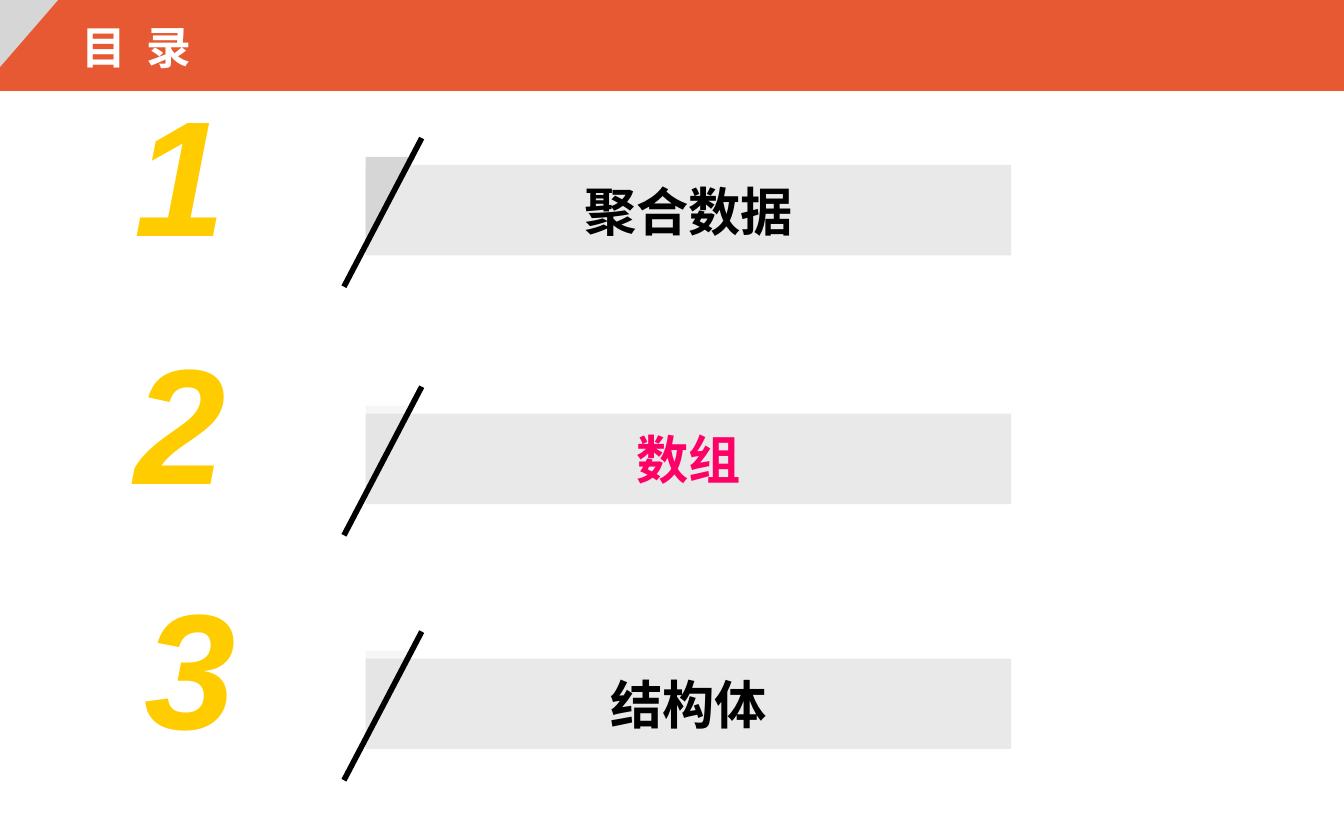
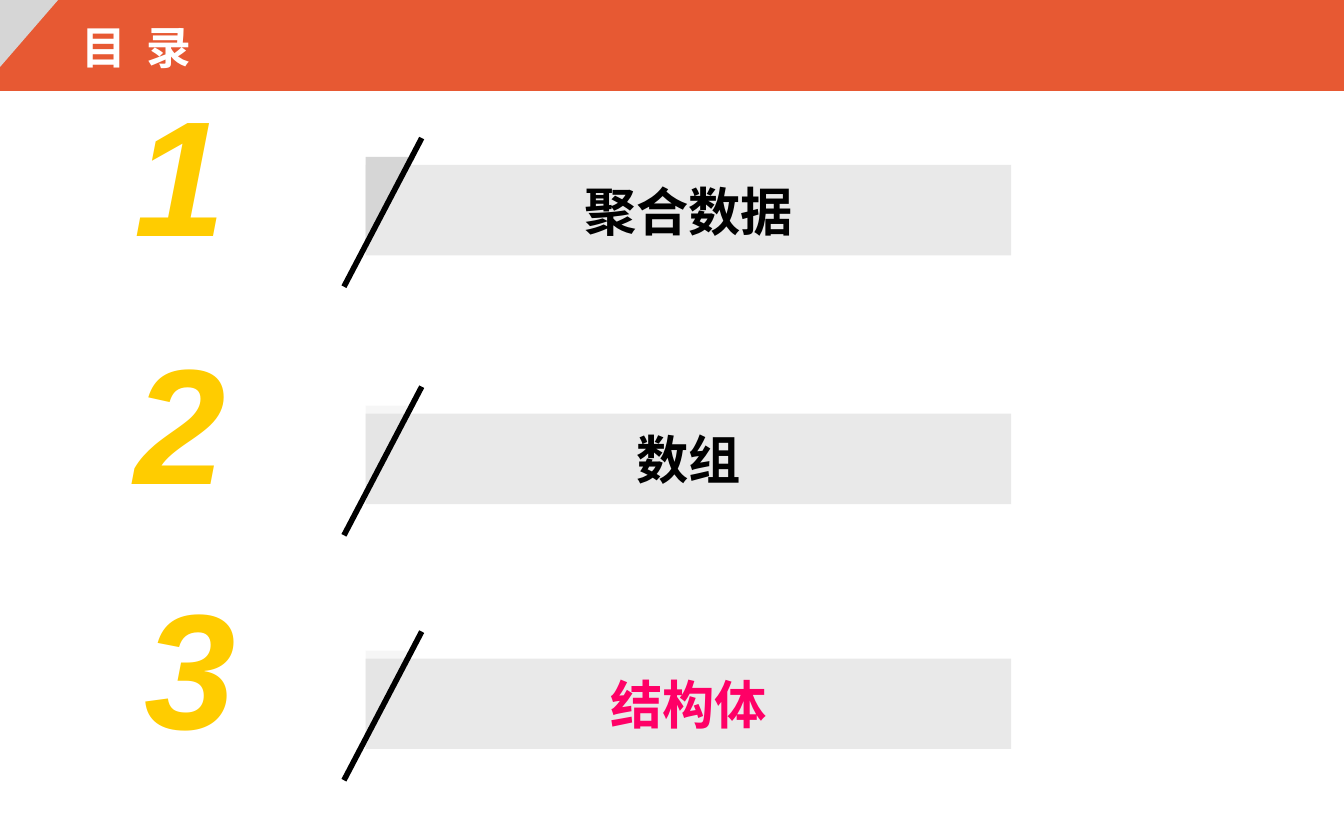
from lxml.etree import SubElement
from pptx import Presentation
from pptx.dml.color import RGBColor
from pptx.enum.shapes import MSO_CONNECTOR, MSO_SHAPE
from pptx.enum.text import MSO_ANCHOR, PP_ALIGN
from pptx.oxml.ns import qn
from pptx.util import Cm, Pt

ORANGE, SILVER, GRAY = "E75933", "D6D6D6", "949494"
YELLOW, PINK, BLACK, WHITE = "FFCC00", "FF0066", "000000", "FFFFFF"

TOPICS = [
    ("聚合数据", 3.12, 2.29, 100),
    ("数组", 7.82, 2.29, 20),
    ("结构体", 12.45, 2.49, 20),
]
BAR_LEFT = 6.91


def paint(color_format, color, opacity=100):
    color_format.rgb = RGBColor.from_string(color)
    if opacity < 100:
        value = color_format._xFill.find(qn("a:srgbClr"))
        SubElement(value, qn("a:alpha")).set("val", str(opacity * 1000))


def add_block(slide, preset, box, color=None, opacity=100, text="", size=28,
              font_color=BLACK, font_name="Arial", align=PP_ALIGN.LEFT):
    left, top, width, height = map(Cm, box)
    if preset is None:
        block = slide.shapes.add_textbox(left, top, width, height)
    else:
        block = slide.shapes.add_shape(preset, left, top, width, height)
        block.shadow.inherit = False
        block.line.fill.background()
        block.fill.solid()
        paint(block.fill.fore_color, color, opacity)
    if preset == MSO_SHAPE.RIGHT_TRIANGLE:
        block._element.spPr.xfrm.set("flipV", "1")
    if text:
        frame = block.text_frame
        frame.word_wrap = True
        frame.text = text
        frame.paragraphs[0].alignment = align
        font = frame.paragraphs[0].runs[0].font
        font.name, font.size, font.bold = font_name, Pt(size), True
        paint(font.color, font_color)
    return block


deck = Presentation()
deck.slide_width, deck.slide_height = Cm(25.4), Cm(15.88)

for current in ("数组", "结构体"):
    slide = deck.slides.add_slide(deck.slide_layouts[6])
    add_block(slide, MSO_SHAPE.RECTANGLE, (0, 0, 25.4, 1.72), ORANGE)
    add_block(slide, MSO_SHAPE.RIGHT_TRIANGLE, (0, 0, 1.1, 1.27), SILVER)

    for number, (topic, top, number_left, fold_opacity) in enumerate(TOPICS, 1):
        numeral = add_block(slide, None, (number_left, top - 1.88, 7.32, 3.99),
                            text=str(number), size=88, font_color=YELLOW)
        numeral.text_frame.paragraphs[0].runs[0].font.italic = True

        bar = add_block(slide, MSO_SHAPE.RECTANGLE, (BAR_LEFT, top, 12.2, 1.71),
                        GRAY, 20, topic, align=PP_ALIGN.CENTER,
                        font_color=PINK if topic == current else BLACK)
        bar.text_frame.vertical_anchor = MSO_ANCHOR.MIDDLE

        add_block(slide, MSO_SHAPE.RIGHT_TRIANGLE,
                  (BAR_LEFT, top - 0.15, 0.94, 1.68), SILVER, fold_opacity)

        slash = slide.shapes.add_connector(
            MSO_CONNECTOR.STRAIGHT, Cm(7.97), Cm(top - 0.51), Cm(6.5), Cm(top + 2.3))
        slash.line.width = Pt(3)
        slash.line.fill.solid()
        paint(slash.line.fill.fore_color, BLACK)
        SubElement(slash._element.spPr, qn("a:effectLst"))

    heading = add_block(slide, None, (1.3, 0.25, 8.61, 1.27), text="目 录", size=24,
                        font_color=WHITE, font_name="Noto Sans Mono")
    heading.text_frame.paragraphs[0].runs[0].font._element.set("spc", "270")

deck.save("out.pptx")
